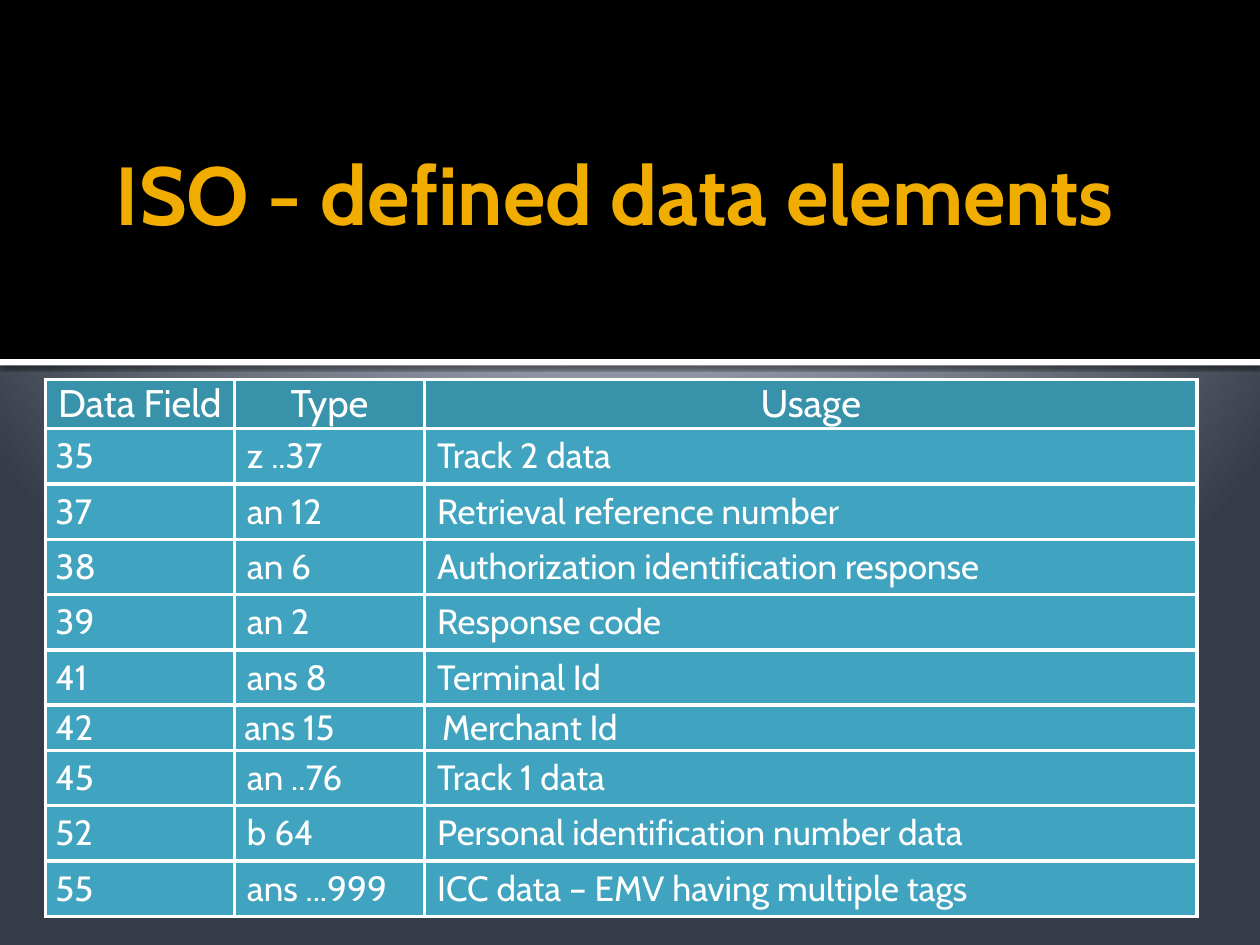
from lxml import etree
from pptx import Presentation
from pptx.dml.color import RGBColor
from pptx.enum.shapes import MSO_SHAPE
from pptx.enum.text import MSO_ANCHOR, MSO_AUTO_SIZE, PP_ALIGN
from pptx.oxml import parse_xml
from pptx.oxml.ns import nsdecls, qn
from pptx.util import Inches, Pt

COLORS = {"band": "000000", "rule": "FFFFFF", "title": "F0AD00", "text": "FFFFFF",
          "header": "3792AA", "body": "40A3BF", "border": "FFFFFF"}
BACKGROUND_STOPS = [(0, "C1C5D3"), (12, "C1C5D3"), (20, "BFC4D2"), (100, "353B47")]
FONT = "Cabin"
HEADINGS = ["Data Field", "Type", "Usage"]
ELEMENTS = [
    ("35", "z ..37", "Track 2 data"),
    ("37", "an 12", "Retrieval reference number"),
    ("38", "an 6", "Authorization identification response"),
    ("39", "an 2", "Response code"),
    ("41", "ans 8", "Terminal Id"),
    ("42", "ans 15", "Merchant Id"),
    ("45", "an ..76", "Track 1 data"),
    ("52", "b 64", "Personal identification number data"),
    ("55", "ans ...999", "ICC data – EMV having multiple tags"),
]
COLUMN_WIDTHS = [1.5, 1.51, 6.13]
HEADER_HEIGHT, ROW_HEIGHT, TIGHT_HEIGHT = 0.33, 0.37, 0.31
TIGHT_FIELD = "42"
TIGHT_INDENTS = [0.08, 0.08, 0.14]
BODY_INDENTS = [0.08, 0.1, 0.1]


def style_text(frame, text, size, color, bold=False, align=PP_ALIGN.LEFT):
    frame.text = text
    paragraph = frame.paragraphs[0]
    paragraph.alignment = align
    for name, value in {"name": FONT, "size": Pt(size), "bold": bold}.items():
        setattr(paragraph.font, name, value)
    paragraph.font.color.rgb = RGBColor.from_string(COLORS[color])


def add_borders(cell, width):
    properties = cell._tc.get_or_add_tcPr()
    for side in ("lnL", "lnR", "lnT", "lnB"):
        line = etree.SubElement(properties, qn(f"a:{side}"), w=str(Pt(width)))
        fill = etree.SubElement(line, qn("a:solidFill"))
        etree.SubElement(fill, qn("a:srgbClr"), val=COLORS["border"])


prs = Presentation()
prs.slide_width, prs.slide_height = Inches(10), Inches(7.5)
slide = prs.slides.add_slide(prs.slide_layouts[5])

# Radial background, centred above the slide
slide.background.fill.gradient()
gradient = slide.element.find(f".//{qn('a:gradFill')}")
stops = "".join(f'<a:gs pos="{share * 1000}"><a:srgbClr val="{color}"/></a:gs>'
                for share, color in BACKGROUND_STOPS)
gradient.getparent().replace(gradient, parse_xml(
    f'<a:gradFill {nsdecls("a")} rotWithShape="1"><a:gsLst>{stops}</a:gsLst>'
    '<a:path path="circle"><a:fillToRect l="10000" t="-25000" r="10000" b="125000"/>'
    '</a:path></a:gradFill>'))

# Title band and the white rule below it
for part, top, height in (("band", 0, 2.85), ("rule", 2.85, 0.05)):
    bar = slide.shapes.add_shape(MSO_SHAPE.RECTANGLE, 0, Inches(top),
                                 prs.slide_width, Inches(height))
    bar.fill.solid()
    bar.fill.fore_color.rgb = RGBColor.from_string(COLORS[part])
    bar.line.fill.background()
    bar.shadow.inherit = False
rule_effects = bar.element.spPr.find(qn("a:effectLst"))
rule_effects.append(parse_xml(
    f'<a:outerShdw {nsdecls("a")} blurRad="{Pt(2.5)}" dist="{Pt(0.8)}" dir="5400000">'
    '<a:srgbClr val="000000"><a:alpha val="60000"/></a:srgbClr></a:outerShdw>'))

# Title, brought in front of the band
title = slide.shapes.title
slide.shapes.element.append(title.element)
for name, value in {"left": 0.82, "top": 0.13, "width": 8.76, "height": 1.79}.items():
    setattr(title, name, Inches(value))
title_format = {"vertical_anchor": MSO_ANCHOR.BOTTOM, "auto_size": MSO_AUTO_SIZE.NONE,
                "word_wrap": True, "margin_left": Inches(0.1), "margin_right": Inches(0.1),
                "margin_top": 0, "margin_bottom": 0}
for name, value in title_format.items():
    setattr(title.text_frame, name, value)
style_text(title.text_frame, "ISO - defined data elements", 47, "title", bold=True)

# Data elements
heights = [HEADER_HEIGHT] + [TIGHT_HEIGHT if field == TIGHT_FIELD else ROW_HEIGHT
                             for field, _, _ in ELEMENTS]
table = slide.shapes.add_table(len(heights), len(COLUMN_WIDTHS), Inches(0.36), Inches(3.01),
                               Inches(sum(COLUMN_WIDTHS)), Inches(sum(heights))).table
for column, width in zip(table.columns, COLUMN_WIDTHS):
    column.width = Inches(width)
for row, height in zip(table.rows, heights):
    row.height = Inches(height)

for row_index, texts in enumerate([HEADINGS, *ELEMENTS]):
    is_header = row_index == 0
    is_tight = texts[0] == TIGHT_FIELD
    for column_index, text in enumerate(texts):
        cell = table.cell(row_index, column_index)
        indents = TIGHT_INDENTS if is_tight else BODY_INDENTS
        side = 0.02 if is_header or is_tight or column_index == 0 else 0.1
        edge = 0.01 if side == 0.02 else 0.05
        cell_format = {"vertical_anchor": MSO_ANCHOR.MIDDLE,
                       "margin_left": Inches(side if is_header else indents[column_index]),
                       "margin_right": Inches(side),
                       "margin_top": Inches(edge), "margin_bottom": Inches(edge)}
        for name, value in cell_format.items():
            setattr(cell, name, value)
        add_borders(cell, 2.25)
        cell.fill.solid()
        cell.fill.fore_color.rgb = RGBColor.from_string(COLORS["header" if is_header else "body"])
        style_text(cell.text_frame, text, 22 if is_header else 20, "text",
                   align=PP_ALIGN.CENTER if is_header else PP_ALIGN.LEFT)

prs.save("out.pptx")
